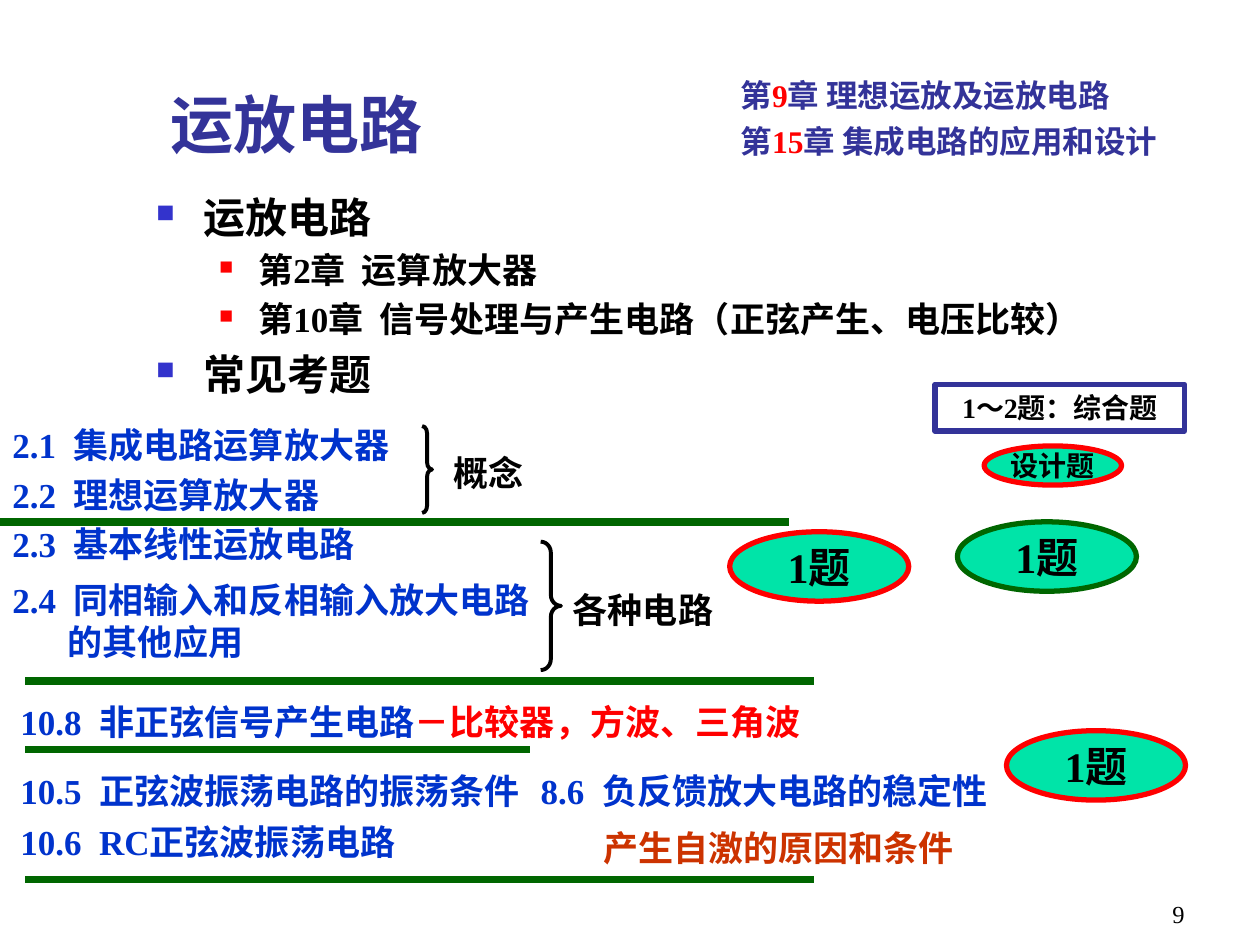
from lxml import etree
from pptx import Presentation
from pptx.dml.color import RGBColor
from pptx.enum.shapes import MSO_CONNECTOR, MSO_SHAPE
from pptx.enum.text import MSO_ANCHOR, PP_ALIGN
from pptx.oxml.ns import qn
from pptx.util import Cm, Pt

TOP, MIDDLE, BOTTOM = MSO_ANCHOR.TOP, MSO_ANCHOR.MIDDLE, MSO_ANCHOR.BOTTOM
LEFT, CENTER, RIGHT = PP_ALIGN.LEFT, PP_ALIGN.CENTER, PP_ALIGN.RIGHT
OVAL, RECT, BRACE = MSO_SHAPE.OVAL, MSO_SHAPE.RECTANGLE, MSO_SHAPE.RIGHT_BRACE
STRAIGHT = MSO_CONNECTOR.STRAIGHT
FONT = "Times New Roman"
COLORS = {
    "black": "000000", "navy": "333399", "blue": "0033CC", "red": "FF0000",
    "rust": "CC3300", "green": "006600", "mint": "00E4A8", "bullet": "3333CC",
}


def add_runs(p, runs, size, bold=True):
    for text, color in runs:
        r = p.add_run()
        r.text = text
        r.font.name = FONT
        r.font.size = Pt(size)
        r.font.bold = bold
        r.font.color.rgb = RGBColor.from_string(COLORS[color])


def add_text(box, runs, size, anchor=TOP, align=LEFT, inset=True, bold=True):
    tf = s.shapes.add_textbox(*[Cm(v) for v in box]).text_frame
    tf.word_wrap = True
    tf.vertical_anchor = anchor
    if not inset:
        tf.margin_left = tf.margin_right = tf.margin_top = tf.margin_bottom = 0
    p = tf.paragraphs[0]
    p.alignment = align
    add_runs(p, runs, size, bold)
    return tf


prs = Presentation()
prs.slide_width, prs.slide_height = Cm(25.4), Cm(19.05)
s = prs.slides.add_slide(prs.slide_layouts[6])

# Page number, title and chapter references
add_text((18.85, 17.58, 5.28, 1.27), [("9", "black")], 14, BOTTOM, RIGHT, bold=False)
add_text((3.18, 0.2, 21.67, 3.18), [("运放电路", "navy")], 36, BOTTOM)
chapters = [(1.4, "9", "章 理想运放及运放电路"), (2.34, "15", "章 集成电路的应用和设计")]
for y, number, name in chapters:
    add_text((14.68, y, 10.31, 1.02),
             [("第", "navy"), (number, "red"), (name, "navy")], 18)

# Bulleted outline: size, left margin, hanging indent, bullet colour, bullet size
LEVELS = [(24, 0.95, 0.95, "bullet", 60), (20, 2.06, 0.79, "red", 55)]
outline = [
    (0, "运放电路"),
    (1, "第2章  运算放大器"),
    (1, "第10章  信号处理与产生电路（正弦产生、电压比较）"),
    (0, "常见考题"),
]
tf = add_text((2.9, 3.73, 19.61, 7.09), [], 24)
for i, (level, text) in enumerate(outline):
    size, margin, hang, color, percent = LEVELS[level]
    p = tf.paragraphs[0] if i == 0 else tf.add_paragraph()
    p.level = level
    p.space_before = Pt(size * 0.2)
    add_runs(p, [(text, "black")], size)
    pPr = p._p.get_or_add_pPr()
    pPr.set("marL", str(Cm(margin)))
    pPr.set("indent", str(-Cm(hang)))
    clr = etree.SubElement(pPr, qn("a:buClr"))
    etree.SubElement(clr, qn("a:srgbClr"), val=COLORS[color])
    etree.SubElement(pPr, qn("a:buSzPct"), val=str(percent * 1000))
    etree.SubElement(pPr, qn("a:buChar"), char="■")

# Chapter 2 topics
topics = ["2.1  集成电路运算放大器", "2.2  理想运算放大器", "2.3  基本线性运放电路"]
for i, text in enumerate(topics):
    tf = add_text((0, 8.51 + i, 11.99, 1.02), [(text, "blue")], 20)
    tf.paragraphs[0].line_spacing = 0.9
tf = add_text((0, 11.53, 11.91, 1.96), [("2.4  同相输入和反相输入放大电路", "blue")], 20)
p = tf.add_paragraph()
p._p.get_or_add_pPr().set("marL", str(Cm(1.12)))
add_runs(p, [("的其他应用", "blue")], 20)

# Braces and their labels
braces = [
    ((8.51, 8.59, 0.2, 1.75), 0.72, (8.89, 8.97, 3, 1.09), "概念"),
    ((10.9, 10.92, 0.41, 2.59), 0.54, (11.3, 11.73, 4.39, 1.09), "各种电路"),
]
for box, curve, label_box, label in braces:
    sp = s.shapes.add_shape(BRACE, *[Cm(v) for v in box])
    sp.shadow.inherit = False
    sp.adjustments[0] = curve
    sp.fill.background()
    sp.line.color.rgb = RGBColor.from_string(COLORS["black"])
    sp.line.width = Pt(2.25)
    add_text(label_box, [(label, "black")], 20)

# Chapter 10 and 8 topics
later_topics = [
    (0.41, 14.12, 16.51, [("10.8  非正弦信号产生电路", "blue"),
                          ("－比较器，方波、三角波", "red")]),
    (0.41, 15.52, 12.37, [("10.5  正弦波振荡电路的振荡条件", "blue")]),
    (0.41, 16.54, 11.76, [("10.6  RC正弦波振荡电路", "blue")]),
    (10.9, 15.52, 14.05, [("8.6  负反馈放大电路的稳定性", "blue")]),
]
for x, y, w, runs in later_topics:
    add_text((x, y, w, 0.84), runs, 20, MIDDLE, inset=False)
add_text((11.91, 16.54, 11.2, 1.09), [("产生自激的原因和条件", "rust")], 20, MIDDLE)

# Green dividers
for x1, x2, y in [(0, 15.9, 10.52), (0.51, 16.41, 13.72),
                  (0.51, 16.41, 17.73), (0.51, 10.69, 15.11)]:
    line = s.shapes.add_connector(STRAIGHT, Cm(x1), Cm(y), Cm(x2), Cm(y))
    line.line.color.rgb = RGBColor.from_string(COLORS["green"])
    line.line.width = Pt(4.5)
    etree.SubElement(line._element.spPr, qn("a:effectLst"))

# Question-count badges
badges = [
    (OVAL, (14.71, 10.72, 3.61, 1.4), "mint", "red", "1题", 24),
    (OVAL, (19.3, 10.52, 3.61, 1.4), "mint", "green", "1题", 24),
    (OVAL, (20.29, 14.73, 3.61, 1.4), "mint", "red", "1题", 24),
    (OVAL, (19.84, 8.99, 2.77, 0.79), "mint", "red", "设计题", 16),
    (RECT, (18.85, 7.75, 5.03, 0.94), None, "navy", "1～2题：综合题", 16),
]
for kind, box, fill, outline_color, text, size in badges:
    sp = s.shapes.add_shape(kind, *[Cm(v) for v in box])
    sp.shadow.inherit = False
    if fill:
        sp.fill.solid()
        sp.fill.fore_color.rgb = RGBColor.from_string(COLORS[fill])
    else:
        sp.fill.background()
    sp.line.color.rgb = RGBColor.from_string(COLORS[outline_color])
    sp.line.width = Pt(3)
    tf = sp.text_frame
    tf.word_wrap = False
    tf.vertical_anchor = MIDDLE
    tf.margin_left = tf.margin_right = tf.margin_top = tf.margin_bottom = 0
    p = tf.paragraphs[0]
    p.alignment = CENTER
    add_runs(p, [(text, "black")], size)

prs.save("out.pptx")
